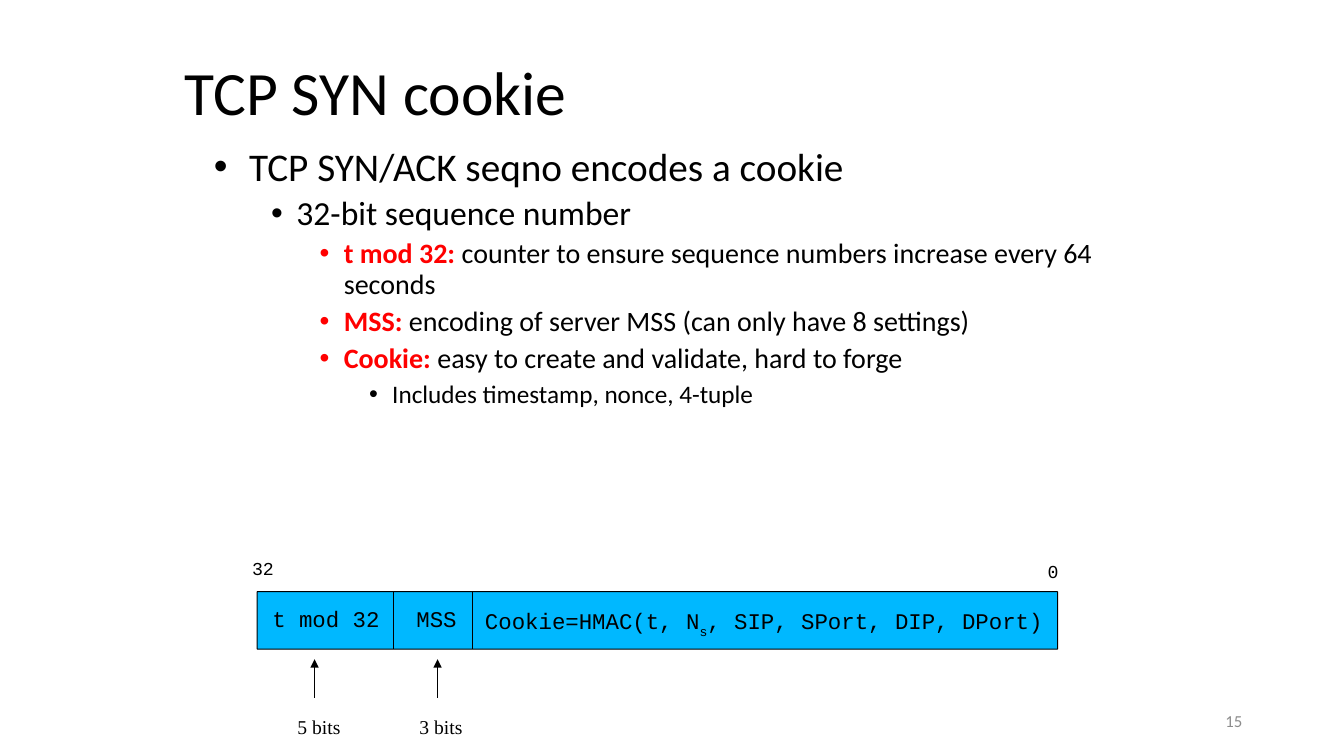
from lxml import etree
from pptx import Presentation
from pptx import util as u
from pptx.dml.color import RGBColor
from pptx.enum import shapes, text
from pptx.oxml.ns import qn

BLACK = RGBColor(0, 0, 0)
RED = RGBColor(255, 0, 0)
GREY = RGBColor(0x8C, 0x8C, 0x8C)
BLUE = RGBColor(0, 0xB8, 0xFF)
SANS, MONO, SERIF = "Calibri", "Courier New", "Times New Roman"

TITLE = "TCP SYN cookie"
# level, red lead, rest of the line
POINTS = [
    (0, "", "TCP SYN/ACK seqno encodes a cookie"),
    (1, "", "32-bit sequence number"),
    (2, "t mod 32:", " counter to ensure sequence numbers increase every 64 seconds"),
    (2, "MSS:", " encoding of server MSS (can only have 8 settings)"),
    (2, "Cookie:", " easy to create and validate, hard to forge"),
    (3, "", "Includes timestamp, nonce, 4-tuple"),
]
# size, left margin, hanging indent, space before
LEVELS = [(28, 0.47, 0.35, 10), (24, 0.94, 0.25, 5),
          (20, 1.41, 0.24, 5), (18, 1.89, 0.23, 5)]

BAR = (2.55, 5.87, 7.94, 0.57)
SPLITS = [3.9, 4.69]
FIELDS = [(2.7, 1.08, ["t mod 32"]), (4.13, 0.4, ["MSS"]),
          (4.81, 5.62, ["Cookie=HMAC(t, N", "s", ", SIP, SPort, DIP, DPort)"])]
ENDS = [(2.5, 5.55, 0.22, "32"), (10.39, 5.58, 0.11, "0")]
BITS = [(3.12, 2.95, "5 bits"), (4.34, 4.16, "3 bits")]

deck = Presentation()
deck.slide_width, deck.slide_height = u.Inches(13.33), u.Inches(7.5)
slide = deck.slides.add_slide(deck.slide_layouts[1])


def place(shape, left, top, width, height):
    shape.left, shape.top = u.Inches(left), u.Inches(top)
    shape.width, shape.height = u.Inches(width), u.Inches(height)


def write(para, words, size=16, font=MONO, color=BLACK, bold=False, space=0.94):
    """Add one run to the paragraph and return it."""
    para.line_spacing = space
    run = para.add_run()
    run.text = words
    run.font.size, run.font.name = u.Pt(size), font
    run.font.color.rgb, run.font.bold = color, bold
    return run


def clear(frame, wrap=True, anchor=text.MSO_ANCHOR.TOP, fit=text.MSO_AUTO_SIZE.NONE):
    """Remove the insets and return the first paragraph."""
    frame.margin_left = frame.margin_right = 0
    frame.margin_top = frame.margin_bottom = 0
    frame.auto_size = fit
    frame.word_wrap, frame.vertical_anchor = wrap, anchor
    return frame.paragraphs[0]


def panel(left, top, width, height):
    """Add a box with barely rounded corners and no shadow."""
    box = slide.shapes.add_shape(shapes.MSO_SHAPE.ROUNDED_RECTANGLE, 0, 0, 0, 0)
    place(box, left, top, width, height)
    box.adjustments[0] = 0.01
    box.shadow.inherit = False
    return box


def label(left, top, width, height, words, **style):
    box = panel(left, top, width, height)
    box.fill.background()
    box.line.fill.background()
    para = clear(box.text_frame, wrap=False, fit=text.MSO_AUTO_SIZE.SHAPE_TO_FIT_TEXT)
    para.alignment = text.PP_ALIGN.LEFT
    return [write(para, part, **style) for part in words]


def bullet(para, margin, hang):
    props = para._p.get_or_add_pPr()
    props.set("marL", str(u.Inches(margin)))
    props.set("indent", str(-u.Inches(hang)))
    etree.SubElement(props, qn("a:buFont")).set("typeface", "Arial")
    etree.SubElement(props, qn("a:buChar")).set("char", "•")


def rule(x, start, end, arrow=False):
    """Draw a vertical line, with an arrowhead at its end if asked."""
    line = slide.shapes.add_connector(
        shapes.MSO_CONNECTOR.STRAIGHT,
        u.Inches(x), u.Inches(start), u.Inches(x), u.Inches(end))
    line.line.color.rgb, line.line.width = BLACK, u.Pt(0.75)
    if arrow:
        stroke = line.line._get_or_add_ln()
        etree.SubElement(stroke, qn("a:tailEnd")).set("type", "triangle")
    etree.SubElement(line._element.spPr, qn("a:effectLst"))


def main():
    title, body = slide.placeholders
    place(title, 1.83, 0.32, 9.59, 1.25)
    para = clear(title.text_frame, anchor=text.MSO_ANCHOR.MIDDLE)
    para.alignment = text.PP_ALIGN.LEFT
    write(para, TITLE, size=44, font=SANS, space=0.9)

    place(body, 2, 1.46, 9, 4.95)
    para = clear(body.text_frame)
    for i, (level, lead, rest) in enumerate(POINTS):
        if i:
            para = body.text_frame.add_paragraph()
        size, margin, hang, before = LEVELS[level]
        para.level, para.space_before = level, u.Pt(before)
        style = dict(size=size, font=SANS, space=0.9)
        if lead:
            write(para, lead, color=RED, bold=True, **style)
        write(para, rest, **style)
        bullet(para, margin, hang)

    bar = panel(*BAR)
    bar.fill.solid()
    bar.fill.fore_color.rgb = BLUE
    bar.line.color.rgb, bar.line.width = BLACK, u.Pt(0.75)

    for x in SPLITS:
        rule(x, BAR[1], BAR[1] + BAR[3])
    for left, width, words in FIELDS:
        runs = label(left, 6.02, width, 0.26, words)
        if len(runs) > 1:
            runs[1].font._element.set("baseline", "-33000")
    for left, top, width, words in ENDS:
        label(left, top, width, 0.21, [words], size=13)
    for x, left, words in BITS:
        rule(x, 6.92, 6.54, arrow=True)
        label(left, 7.11, 0.43, 0.22, [words], size=14, font=SERIF, space=0.93)

    page = slide.shapes.add_textbox(0, 0, 0, 0)
    place(page, 9.42, 6.95, 3, 0.4)
    page.text_frame.vertical_anchor = text.MSO_ANCHOR.MIDDLE
    para = page.text_frame.paragraphs[0]
    para.alignment = text.PP_ALIGN.RIGHT
    page.text_frame.word_wrap = True
    write(para, "15", size=12, font=SANS, color=GREY, space=1.0)

    deck.save("out.pptx")


if __name__ == "__main__":
    main()
